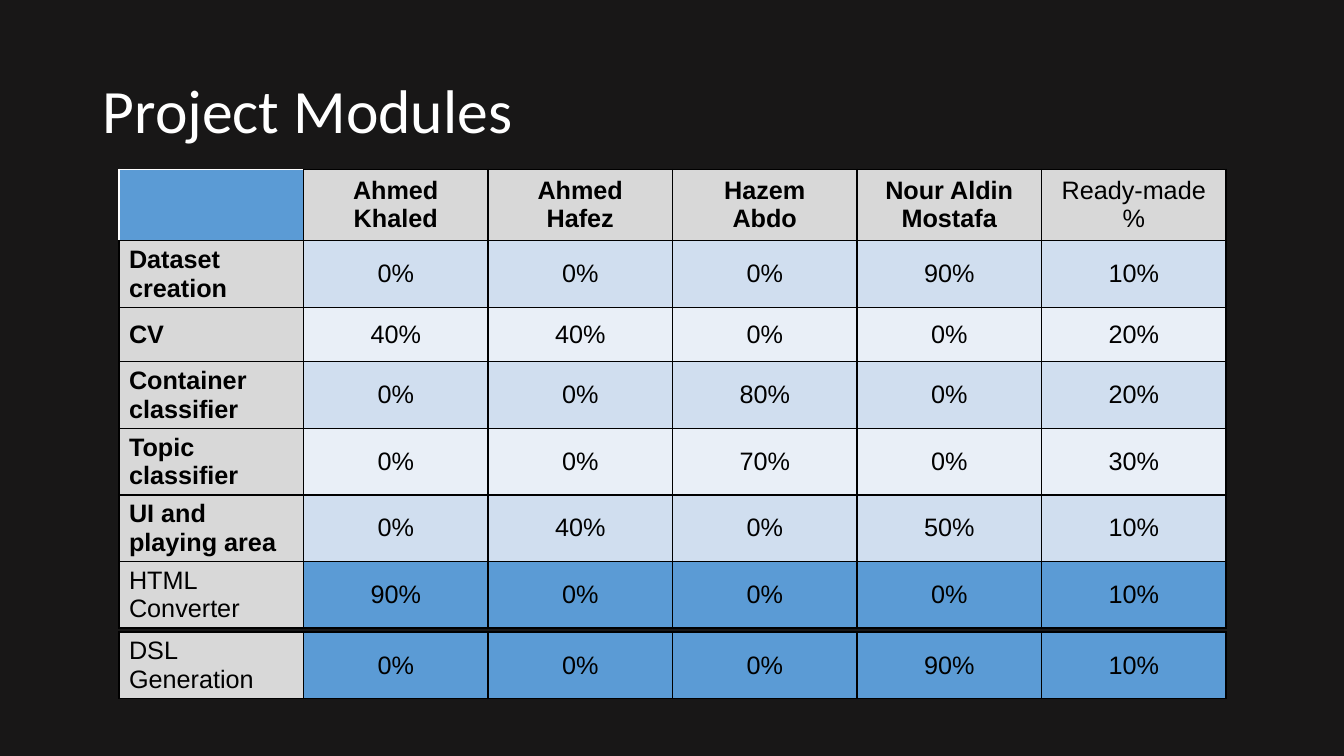
from pptx import Presentation
from pptx.dml.color import RGBColor
from pptx.enum.text import MSO_ANCHOR, MSO_AUTO_SIZE, PP_ALIGN
from pptx.oxml import parse_xml
from pptx.oxml.ns import nsdecls
from pptx.util import Inches, Pt

BLACK, WHITE, BACKGROUND = "000000", "FFFFFF", "181717"
BLUE, GREY, BAND_DARK, BAND_LIGHT = "5B9BD5", "D8D8D8", "D0DEEF", "E9EFF7"

TITLE = "Project Modules"
HEADER = ["", "Ahmed\nKhaled", "Ahmed\nHafez", "Hazem\nAbdo",
          "Nour Aldin\nMostafa", "Ready-made %"]
MODULES = [
    ("Dataset creation", 0, 0, 0, 90, 10),
    ("CV", 40, 40, 0, 0, 20),
    ("Container classifier", 0, 0, 80, 0, 20),
    ("Topic classifier", 0, 0, 70, 0, 30),
    ("UI and playing area", 0, 40, 0, 50, 10),
]
HTML_MODULE = ("HTML Converter", 90, 0, 0, 0, 10)
DSL_MODULE = ("DSL Generation", 0, 0, 0, 90, 10)

TABLE_LEFT, COL_WIDTH = 1.18, 1.83
HEADER_HEIGHT, ROW_HEIGHT = 0.71, 0.54


def color(value):
    """Turn a hex string into a colour."""
    return RGBColor.from_string(value)


def write(tf, text, size=18, font="Arial", fill=BLACK, bold=False,
          align=PP_ALIGN.LEFT, spacing=None):
    """Write text into a frame, one paragraph per line."""
    tf.text = text
    for p in tf.paragraphs:
        p.alignment = align
        p.line_spacing = spacing
        p.font.size = Pt(size)
        for r in p.runs:
            r.font.name, r.font.size, r.font.bold = font, Pt(size), bold
            r.font.color.rgb = color(fill)


def add_borders(cell, sides):
    """Draw thin black lines on the given sides of a cell."""
    props = cell._tc.get_or_add_tcPr()
    for i, side in enumerate(sides):
        props.insert(i, parse_xml(
            f'<a:ln{side} {nsdecls("a")} w="{Pt(1)}"><a:solidFill>'
            f'<a:srgbClr val="{BLACK}"/></a:solidFill></a:ln{side}>'))


def style_cell(cell, text, fill, sides="LRTB", **fmt):
    """Fill, frame and write one cell."""
    cell.fill.solid()
    cell.fill.fore_color.rgb = color(fill)
    cell.vertical_anchor = MSO_ANCHOR.MIDDLE
    add_borders(cell, sides)
    write(cell.text_frame, text, **fmt)


def add_grid(s, top, heights):
    """Add an unbanded table with equal columns."""
    height = Inches(sum(heights))
    table = s.shapes.add_table(len(heights), len(HEADER), Inches(TABLE_LEFT), Inches(top),
                               Inches(COL_WIDTH * len(HEADER)), height).table
    table.first_row = table.horz_banding = False
    for column in table.columns:
        column.width = Inches(COL_WIDTH)
    for row, row_height in zip(table.rows, heights):
        row.height = Inches(row_height)
    return table


def fill_module(row, module, fill, bold_name):
    """Write a module's name and its percentages into a row."""
    name_cell, *share_cells = row.cells
    style_cell(name_cell, module[0], GREY, bold=bold_name)
    for cell, share in zip(share_cells, module[1:]):
        style_cell(cell, f"{share}%", fill, align=PP_ALIGN.CENTER)


prs = Presentation()
prs.slide_width, prs.slide_height = Inches(13.33), Inches(7.5)
s = prs.slides.add_slide(prs.slide_layouts[5])
s.background.fill.solid()
s.background.fill.fore_color.rgb = color(BACKGROUND)

title = s.shapes.title
title.left, title.top = Inches(0.92), Inches(0.4)
title.width, title.height = Inches(11.5), Inches(1.45)
tf = title.text_frame
tf.auto_size = MSO_AUTO_SIZE.NONE
tf.vertical_anchor = MSO_ANCHOR.MIDDLE
write(tf, TITLE, size=44, font="Calibri", fill=WHITE, spacing=0.9)

main = add_grid(s, 1.68, [HEADER_HEIGHT] + [ROW_HEIGHT] * len(MODULES))
style_cell(main.cell(0, 0), HEADER[0], BLUE, sides="RB")
for col, label in enumerate(HEADER[1:], 1):
    style_cell(main.cell(0, col), label, GREY, align=PP_ALIGN.CENTER,
               bold=col < len(HEADER) - 1)
for i, module in enumerate(MODULES):
    fill_module(main.rows[i + 1], module, (BAND_DARK, BAND_LIGHT)[i % 2], True)

for top, module in ((5.57, HTML_MODULE), (6.27, DSL_MODULE)):
    fill_module(add_grid(s, top, [ROW_HEIGHT]).rows[0], module, BLUE, False)

prs.save("out.pptx")
